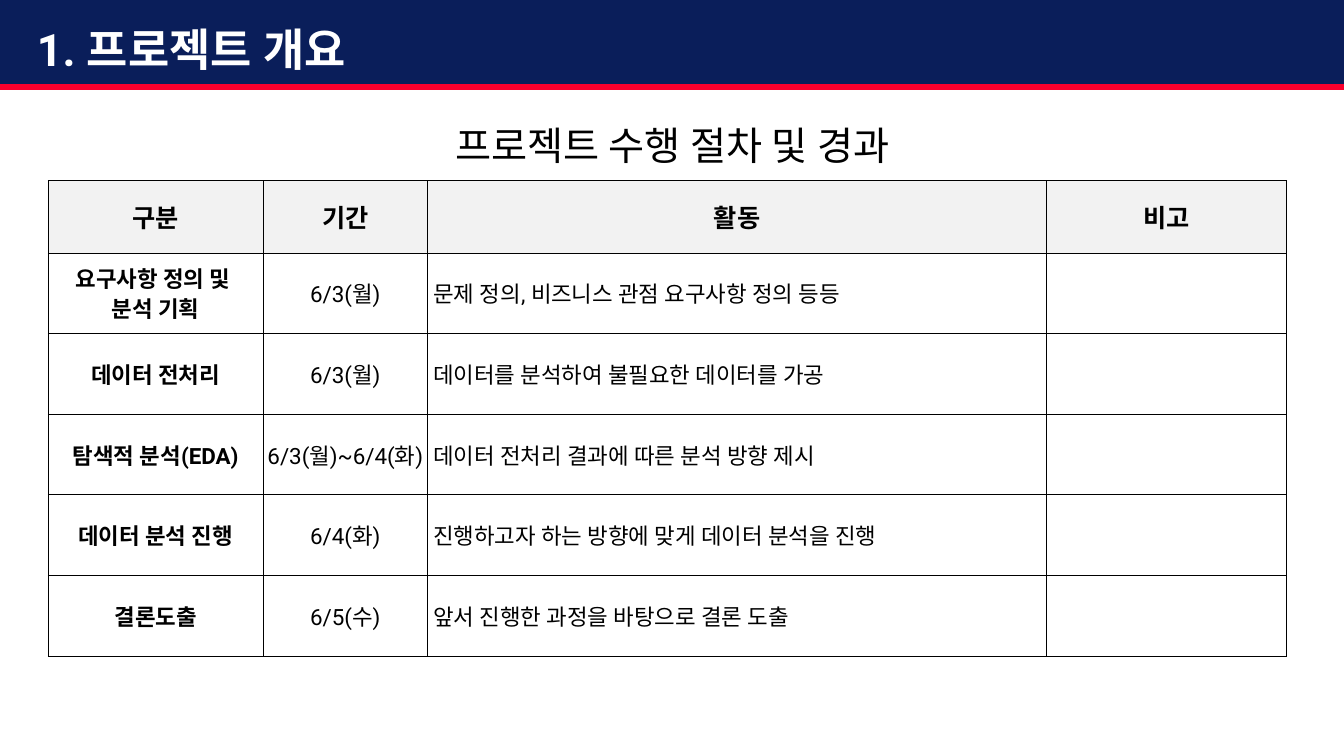
from lxml.etree import SubElement
from pptx import Presentation
from pptx.dml.color import RGBColor
from pptx.enum.shapes import MSO_CONNECTOR as Connector, MSO_SHAPE as Shape
from pptx.enum.text import MSO_ANCHOR as Anchor, MSO_AUTO_SIZE as AutoSize, PP_ALIGN as Align
from pptx.oxml.ns import qn
from pptx.util import Inches, Pt

FONT = "Roboto"
NAVY, RED, BLACK, WHITE, GREY = "0A1E5A", "FA002D", "000000", "FFFFFF", "F2F2F2"
WIDTH, HEIGHT = 13.33, 7.5
COLUMNS = [2.13, 1.63, 6.14, 2.38]
HEADER_ROW, BODY_ROW = 0.72, 0.8
HEADINGS = ["구분", "기간", "활동", "비고"]
STEPS = [
    ["요구사항 정의 및 \n분석 기획", "6/3(월)", "문제 정의, 비즈니스 관점 요구사항 정의 등등", ""],
    ["데이터 전처리", "6/3(월)", "데이터를 분석하여 불필요한 데이터를 가공", ""],
    ["탐색적 분석(EDA)", "6/3(월)~6/4(화)", "데이터 전처리 결과에 따른 분석 방향 제시", ""],
    ["데이터 분석 진행", "6/4(화)", "진행하고자 하는 방향에 맞게 데이터 분석을 진행", ""],
    ["결론도출", "6/5(수)", "앞서 진행한 과정을 바탕으로 결론 도출", ""],
]


def color(value):
    return RGBColor.from_string(value)


def write(frame, text, size, ink, bold=False, align=Align.LEFT, spacing=None):
    paragraph = frame.paragraphs[0]
    paragraph.text = text
    paragraph.alignment = align
    paragraph.line_spacing = spacing
    for run in paragraph.runs:
        run.font.name = FONT
        run.font.size = Pt(size)
        run.font.bold = bold
        run.font.color.rgb = color(ink)
        SubElement(run.font._element, qn("a:ea"), typeface=FONT)


def add_header(slide, left, top, width, height):
    band = slide.shapes.add_shape(
        Shape.RECTANGLE, Inches(left), Inches(top), Inches(width), Inches(height))
    band.shadow.inherit = False
    band.fill.solid()
    band.fill.fore_color.rgb = color(NAVY)
    band.line.fill.background()

    title = slide.shapes.title
    title.left, title.top = Inches(left + width * 0.02), Inches(top + 0.16)
    title.width, title.height = Inches(width * 0.71), Inches(0.64)
    title.text_frame.auto_size = AutoSize.NONE
    title.text_frame.vertical_anchor = Anchor.MIDDLE
    write(title.text_frame, "1. 프로젝트 개요", 32, WHITE, bold=True)
    slide.shapes._spTree.append(title._element)

    bottom = Inches(top + height)
    rule = slide.shapes.add_connector(
        Connector.STRAIGHT, Inches(left), bottom, Inches(left + width), bottom)
    rule.line.color.rgb = color(RED)
    rule.line.width = Pt(4.5)
    SubElement(rule._element.spPr, qn("a:effectLst"))


def add_subtitle(slide, left, top, width, height):
    subtitle = slide.shapes.add_textbox(
        Inches(left), Inches(top), Inches(width), Inches(height))
    subtitle.text_frame.word_wrap = True
    write(subtitle.text_frame, "프로젝트 수행 절차 및 경과", 28, BLACK, align=Align.CENTER)


def add_borders(cell):
    properties = cell._tc.get_or_add_tcPr()
    for side in ("lnL", "lnR", "lnT", "lnB"):
        border = SubElement(properties, qn(f"a:{side}"), w=str(Pt(0.75)))
        fill = SubElement(border, qn("a:solidFill"))
        SubElement(fill, qn("a:srgbClr"), val=BLACK)


def add_schedule(slide, left, top):
    rows = [HEADINGS] + STEPS
    heights = [HEADER_ROW] + [BODY_ROW] * len(STEPS)
    schedule = slide.shapes.add_table(
        len(rows), len(COLUMNS), Inches(left), Inches(top),
        Inches(sum(COLUMNS)), Inches(sum(heights))).table
    schedule.first_row = schedule.horz_banding = False
    for column, width in zip(schedule.columns, COLUMNS):
        column.width = Inches(width)
    for row, height in zip(schedule.rows, heights):
        row.height = Inches(height)

    for r, texts in enumerate(rows):
        for c, text in enumerate(texts):
            cell = schedule.cell(r, c)
            heading, activity = r == 0, r > 0 and c == 2
            add_borders(cell)
            if heading:
                cell.fill.solid()
                cell.fill.fore_color.rgb = color(GREY)
            else:
                cell.fill.background()
            cell.vertical_anchor = Anchor.MIDDLE
            cell.margin_left = Inches(0.06 if activity else 0)
            cell.margin_right = cell.margin_top = cell.margin_bottom = 0
            write(cell.text_frame, text, 18 if heading else 16, BLACK,
                  bold=heading or c == 0,
                  align=Align.LEFT if activity else Align.CENTER, spacing=1.14)


def main():
    deck = Presentation()
    deck.slide_width, deck.slide_height = Inches(WIDTH), Inches(HEIGHT)
    slide = deck.slides.add_slide(deck.slide_layouts[5])
    add_header(slide, 0, 0, WIDTH, 0.86)
    add_subtitle(slide, 3.63, 1.15, 6.08, 0.57)
    add_schedule(slide, 0.48, 1.79)
    deck.save("out.pptx")


if __name__ == "__main__":
    main()
